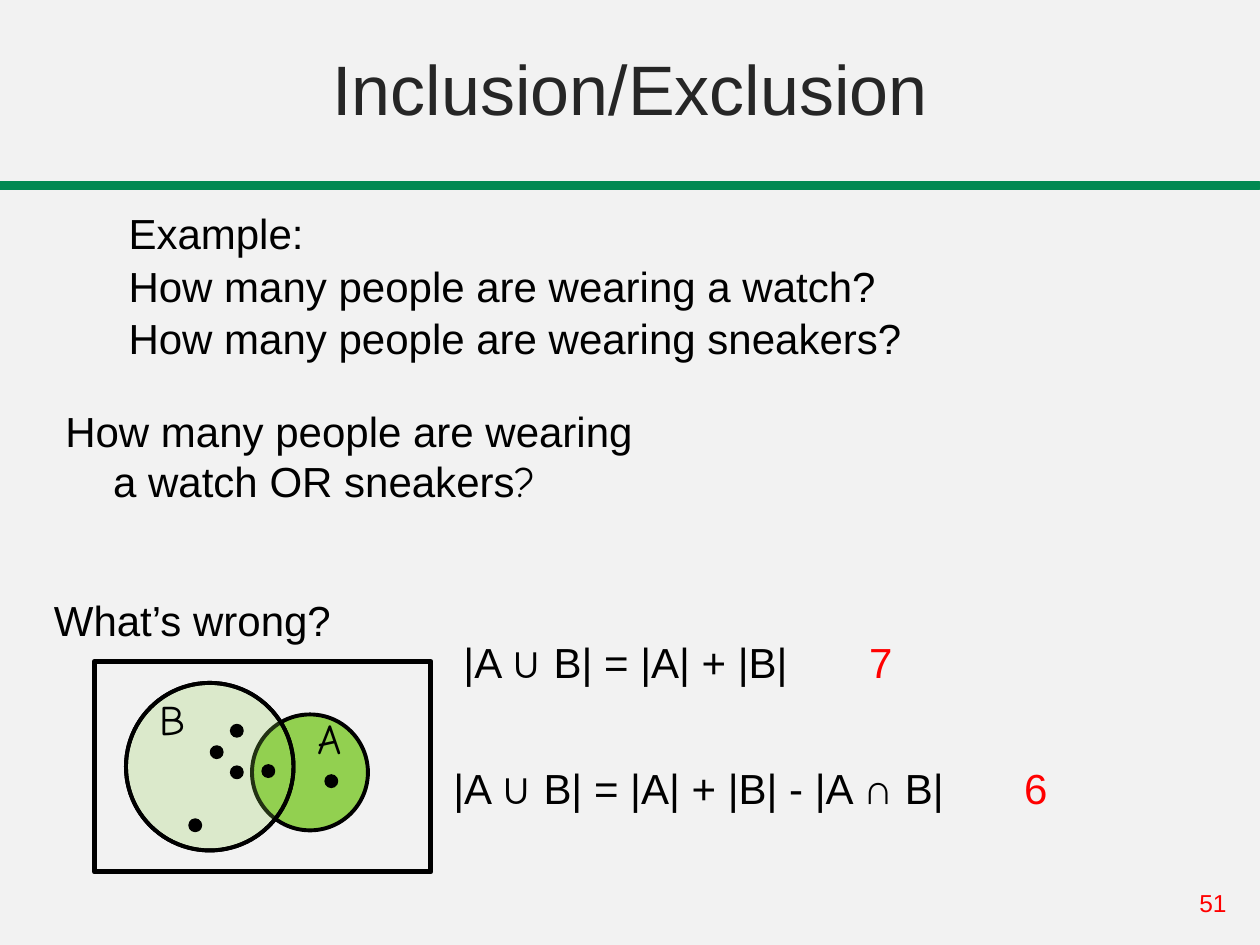
from pptx import Presentation
from pptx.dml.color import RGBColor
from pptx.enum.shapes import MSO_SHAPE
from pptx.enum.text import MSO_ANCHOR, MSO_AUTO_SIZE, PP_ALIGN
from pptx.oxml.ns import qn
from pptx.util import Inches, Pt
from lxml.etree import SubElement

BACKGROUND = RGBColor(0xF2, 0xF2, 0xF2)
RULE_GREEN = RGBColor(0x01, 0x89, 0x52)
SET_GREEN = RGBColor(0x92, 0xD0, 0x50)
TITLE_GRAY = RGBColor(0x26, 0x26, 0x26)
BLACK = RGBColor(0, 0, 0)
RED = RGBColor(0xFF, 0, 0)
SANS = "Arial"
HAND = "Comic Neue"


class SlideBuilder:
    def __init__(self, slide):
        self.slide = slide
        self.shapes = slide.shapes
        slide.background.fill.solid()
        slide.background.fill.fore_color.rgb = BACKGROUND

    def place(self, shape, left, top, width, height):
        shape.left, shape.top = Inches(left), Inches(top)
        shape.width, shape.height = Inches(width), Inches(height)

    def run(self, paragraph, text, size=24, color=BLACK, font=SANS):
        run = paragraph.add_run()
        run.text = text
        run.font.name = font
        run.font.size = Pt(size)
        run.font.color.rgb = color

    def indent(self, paragraph, hanging):
        properties = paragraph._p.get_or_add_pPr()
        properties.set("marL", str(Inches(hanging)))
        properties.set("indent", str(-Inches(hanging)))
        return properties

    def title(self, text, *box):
        title = self.slide.shapes.title
        self.place(title, *box)
        frame = title.text_frame
        frame.auto_size = MSO_AUTO_SIZE.NONE
        frame.vertical_anchor = MSO_ANCHOR.BOTTOM
        frame.paragraphs[0].alignment = PP_ALIGN.CENTER
        self.run(frame.paragraphs[0], text, 40, TITLE_GRAY)

    def body(self, lines, *box):
        body = self.slide.placeholders[1]
        self.place(body, *box)
        frame = body.text_frame
        frame.auto_size = MSO_AUTO_SIZE.NONE
        frame.vertical_anchor = MSO_ANCHOR.TOP
        frame.margin_top = Inches(0.15)
        for index, line in enumerate(lines):
            paragraph = frame.add_paragraph() if index else frame.paragraphs[0]
            paragraph.space_before = Pt(1)
            SubElement(self.indent(paragraph, 0.3), qn("a:buNone"))
            self.run(paragraph, line)

    def text(self, *box):
        """Add a wrapping text box and return its first paragraph."""
        frame = self.shapes.add_textbox(*map(Inches, box)).text_frame
        frame.word_wrap = True
        return frame.paragraphs[0]

    def question(self, text, *box):
        paragraph = self.text(*box)
        paragraph.space_before = Pt(6)
        self.indent(paragraph, 0.38)
        self.run(paragraph, text)
        return paragraph

    def equation(self, formula, answer, answer_tab, *box):
        paragraph = self.text(*box)
        tabs = SubElement(paragraph._p.get_or_add_pPr(), qn("a:tabLst"))
        SubElement(tabs, qn("a:tab"), pos=str(Inches(answer_tab)), algn="l")
        self.run(paragraph, formula + "\t")
        self.run(paragraph, answer, color=RED)

    def set_label(self, letter, *box):
        paragraph = self.text(*box)
        paragraph.line_spacing = 0.9
        self.run(paragraph, letter, font=HAND)

    def shape(self, kind, box, fill=None, line=BLACK, weight=2.25, opacity=None):
        shape = self.shapes.add_shape(kind, *map(Inches, box))
        shape.shadow.inherit = False
        shape.line.color.rgb = line
        shape.line.width = Pt(weight)
        if fill is None:
            shape.fill.background()
            return
        shape.fill.solid()
        shape.fill.fore_color.rgb = fill
        if opacity is not None:
            color = shape.fill._xPr.find(qn("a:solidFill"))[0]
            SubElement(color, qn("a:alpha"), val=str(opacity * 1000))

    def venn_diagram(self):
        self.shapes = self.slide.shapes.add_group_shape().shapes
        circle_b = (1, 5.42, 1.33, 1.33)
        self.shape(MSO_SHAPE.OVAL, (2, 5.67, 0.92, 0.92), SET_GREEN)
        self.shape(MSO_SHAPE.RECTANGLE, (0.75, 5.25, 2.67, 1.67), weight=3)
        self.shape(MSO_SHAPE.OVAL, circle_b, SET_GREEN, opacity=24)
        self.set_label("A", 2.42, 5.65, 0.42, 0.5)
        people = [(1.67, 5.92), (1.83, 6.08), (1.5, 6.5),
                  (1.83, 5.75), (2.58, 6.15), (2.08, 6.07)]
        for left, top in people:
            self.shape(MSO_SHAPE.OVAL, (left, top, 0.1, 0.1), BLACK, weight=0.75)
        self.set_label("B", 1.17, 5.5, 0.5, 0.58)
        self.shape(MSO_SHAPE.OVAL, circle_b)
        self.shapes = self.slide.shapes


def main():
    deck = Presentation()
    deck.slide_width, deck.slide_height = Inches(10), Inches(7.5)
    builder = SlideBuilder(deck.slides.add_slide(deck.slide_layouts[1]))

    builder.shape(MSO_SHAPE.RECTANGLE, (0, 1.45, 10, 0.05),
                  RULE_GREEN, RULE_GREEN, 1.75)
    page_number = builder.text(9.42, 7, 0.58, 0.34)
    builder.run(page_number, "51", 14, RED)

    builder.title("Inclusion/Exclusion", 0, 0, 10, 1.08)
    builder.body(["Example:",
                  "How many people are wearing a watch?",
                  "How many people are wearing sneakers?"],
                 0.92, 1.5, 8.25, 2.25)
    either = builder.question("How many people are wearing a watch OR sneakers",
                              0.42, 3.17, 4.83, 1)
    builder.run(either, "?", font=HAND)
    builder.question("What’s wrong?", 0.33, 4.67, 2.67, 0.58)

    builder.venn_diagram()
    builder.equation("|A ∪ B| = |A| + |B| - |A ∩ B|", "6", 4.53,
                     3.5, 6, 5.33, 0.58)
    builder.equation("|A ∪ B| = |A| + |B|", "7", 3.22, 3.58, 5, 4.83, 0.58)
    deck.save("out.pptx")


if __name__ == "__main__":
    main()
